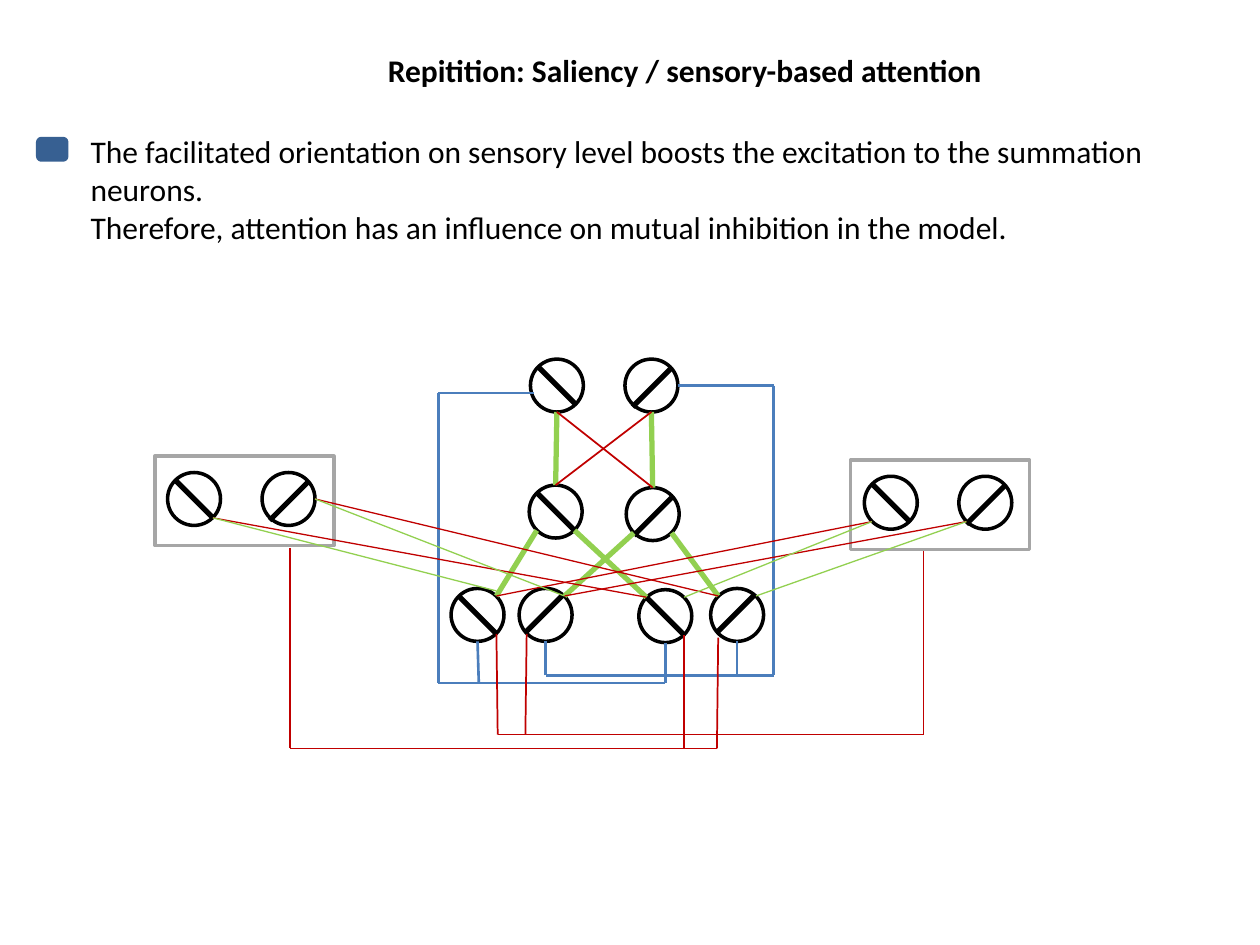
from itertools import pairwise

from lxml.etree import SubElement
from pptx import Presentation
from pptx.dml.color import RGBColor
from pptx.enum.shapes import MSO_CONNECTOR as Connector, MSO_SHAPE as Shape
from pptx.oxml.ns import qn
from pptx.util import Inches, Pt

# Positions are columns and rows of a grid with 100 cells to the inch.
COLUMNS, ROWS = 1000, 750
COLORS = {
    "text": "000000", "neuron": "FFFFFF", "outline": "000000",
    "marker": "376092", "frame": "A6A6A6", "excitation": "92D050",
    "inhibition": "C00000", "feedback": "4B7EBC",
}
DIAMETER = 42
# Strokes inside a neuron: start and end, measured from its top left corner
FALLING = ((6, 6), (36, 36))
RISING = ((36, 8), (6, 38))
RISING_HIGH = ((35, 5), (5, 35))
NEURONS = {
    "output_left": (421, 285, FALLING),
    "output_right": (496, 285, RISING),
    "sum_left": (420, 385, FALLING),
    "sum_right": (497, 387, RISING),
    "input_1": (358, 467, FALLING),
    "input_2": (412, 467, RISING_HIGH),
    "input_3": (507, 468, FALLING),
    "input_4": (564, 467, RISING_HIGH),
    "west_1": (133, 375, FALLING),
    "west_2": (208, 375, RISING),
    "east_1": (686, 378, FALLING),
    "east_2": (761, 378, RISING),
}
PORTS = {
    "top": (21, 0), "bottom": (21, 42), "right": (42, 21),
    "upper_left": (6, 6), "upper_right": (36, 6),
    "lower_left": (6, 36), "lower_right": (36, 36),
}
FRAMES = [(123, 362, 142, 71), (675, 365, 142, 71)]


def cells(count):
    return Inches(count / 100)


def color(name):
    return RGBColor.from_string(COLORS[name])


def port(neuron, side):
    left, top, _ = NEURONS[neuron]
    x, y = PORTS[side]
    return left + x, top + y


def add_box(slide, kind, box, line, fill=None):
    shape = slide.shapes.add_shape(kind, *map(cells, box))
    shape.shadow.inherit = False
    if fill:
        shape.fill.solid()
        shape.fill.fore_color.rgb = color(fill)
    else:
        shape.fill.background()
    shape.line.color.rgb = color(line)
    shape.line.width = Pt(2)


def add_wire(slide, points, line, width):
    """Join the points, one after the other, with straight connectors."""
    for start, end in pairwise(points):
        connector = slide.shapes.add_connector(
            Connector.STRAIGHT, *map(cells, (*start, *end)))
        connector.line.color.rgb = color(line)
        connector.line.width = Pt(width)
        SubElement(connector._element.spPr, qn("a:effectLst"))


def add_neuron(slide, left, top, stroke):
    add_box(slide, Shape.OVAL, (left, top, DIAMETER, DIAMETER), "outline", "neuron")
    add_wire(slide, [(left + x, top + y) for x, y in stroke], "outline", 3)


def add_text(slide, box, *lines, bold=False, wrap=True):
    frame = slide.shapes.add_textbox(*map(cells, box)).text_frame
    frame.word_wrap = wrap
    for index, line in enumerate(lines):
        paragraph = frame.add_paragraph() if index else frame.paragraphs[0]
        run = paragraph.add_run()
        run.text = line
        run.font.name = "Calibri"
        run.font.size = Pt(18)
        run.font.bold = bold
        run.font.color.rgb = color("text")


def add_links(slide, line, width, links):
    """Draw straight links, each given as (neuron, side, neuron, side)."""
    for source, source_side, target, target_side in links:
        ends = [port(source, source_side), port(target, target_side)]
        add_wire(slide, ends, line, width)


def add_feedback(slide):
    right, upper_rail = 614, 536
    left, lower_rail = 348, 542
    wires = [
        [port("output_right", "right"), (right, 306), (right, upper_rail),
         (433, upper_rail), port("input_2", "bottom")],
        [(585, upper_rail), port("input_4", "bottom")],
        [(424, 312), (left, 312), (left, lower_rail),
         (528, lower_rail), port("input_3", "bottom")],
        [(380, lower_rail), port("input_1", "bottom")],
    ]
    for points in wires:
        add_wire(slide, points, "feedback", 1.5)


def add_frame_inhibition(slide):
    east_rail, west_rail = 583, 594
    wires = [
        [(733, 437), (733, east_rail), (395, east_rail), port("input_1", "lower_right")],
        [(417, east_rail), port("input_2", "lower_left")],
        [(230, 435), (230, west_rail), (569, west_rail), (570, 506)],
        [(543, west_rail), port("input_3", "lower_right")],
    ]
    for points in wires:
        add_wire(slide, points, "inhibition", 1)


def main():
    presentation = Presentation()
    presentation.slide_width = cells(COLUMNS)
    presentation.slide_height = cells(ROWS)
    slide = presentation.slides.add_slide(presentation.slide_layouts[6])

    add_box(slide, Shape.ROUNDED_RECTANGLE, (30, 110, 23, 17), "marker", "marker")
    add_text(
        slide, (62, 100, 925, 101),
        "The facilitated orientation on sensory level boosts the excitation"
        " to the summation neurons.",
        "Therefore, attention has an influence on mutual inhibition in the model.")
    add_text(slide, (298, 36, 497, 40),
             "Repitition: Saliency / sensory-based attention", bold=True, wrap=False)

    for left, top, stroke in NEURONS.values():
        add_neuron(slide, left, top, stroke)
    for box in FRAMES:
        add_box(slide, Shape.RECTANGLE, box, "frame")

    add_links(slide, "excitation", 3, [
        ("input_1", "upper_right", "sum_left", "lower_left"),
        ("input_2", "upper_right", "sum_right", "lower_left"),
        ("sum_left", "lower_right", "input_3", "upper_left"),
        ("input_4", "upper_left", "sum_right", "lower_right"),
        ("sum_left", "top", "output_left", "bottom"),
        ("sum_right", "top", "output_right", "bottom"),
    ])
    add_feedback(slide)
    add_frame_inhibition(slide)
    add_links(slide, "inhibition", 1, [
        ("sum_right", "top", "output_left", "bottom"),
        ("output_right", "bottom", "sum_left", "top"),
    ])
    add_links(slide, "inhibition", 0.75, [
        ("input_2", "upper_right", "east_2", "lower_left"),
        ("input_1", "upper_right", "east_1", "lower_left"),
        ("west_2", "right", "input_4", "upper_left"),
        ("west_1", "lower_right", "input_3", "upper_left"),
    ])
    add_links(slide, "excitation", 0.75, [
        ("input_3", "upper_right", "east_1", "lower_left"),
        ("input_4", "upper_right", "east_2", "lower_left"),
        ("west_2", "right", "input_2", "upper_right"),
    ])
    add_wire(slide, [port("west_1", "lower_right"), (394, 469)], "excitation", 0.75)

    presentation.save("out.pptx")


if __name__ == "__main__":
    main()
